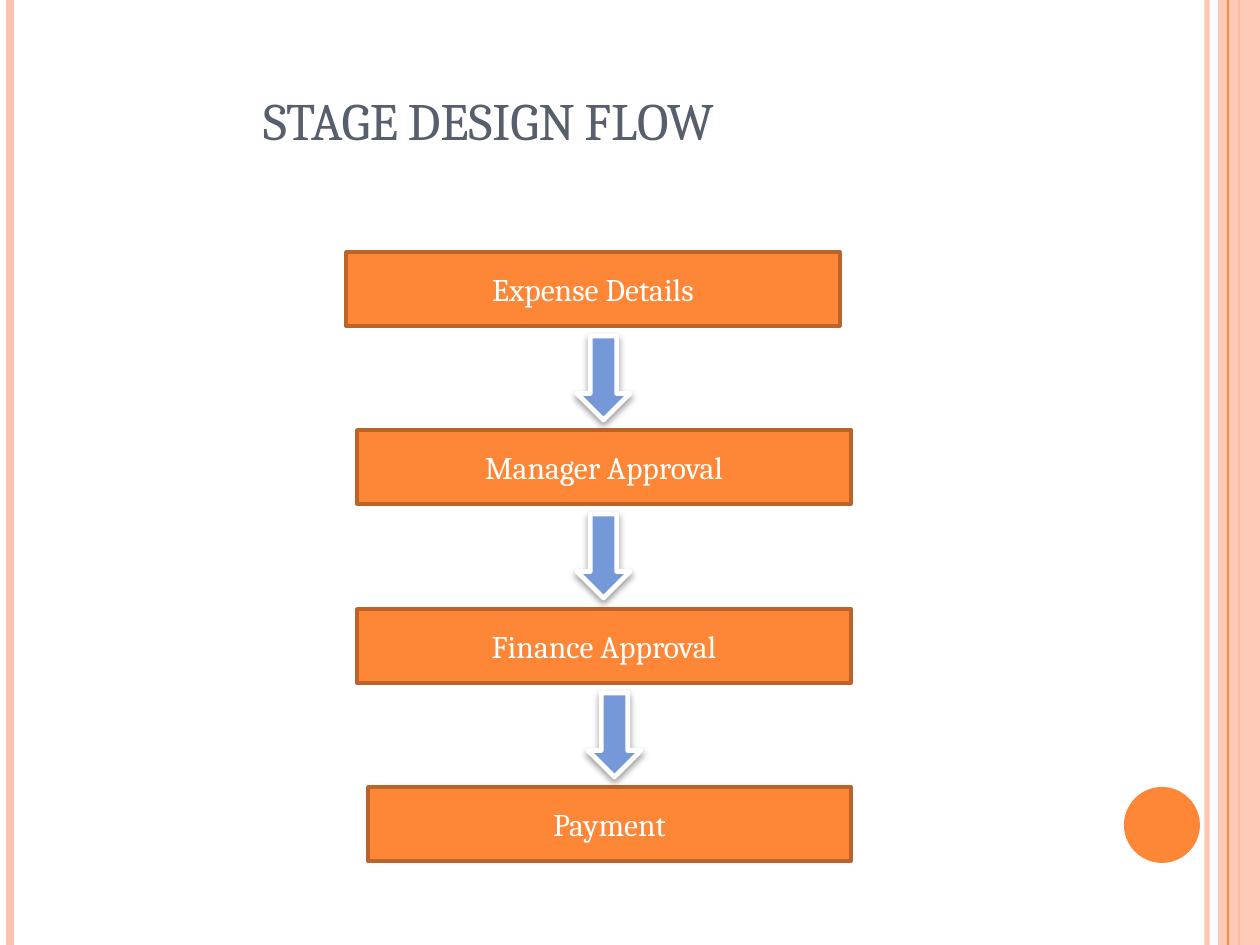
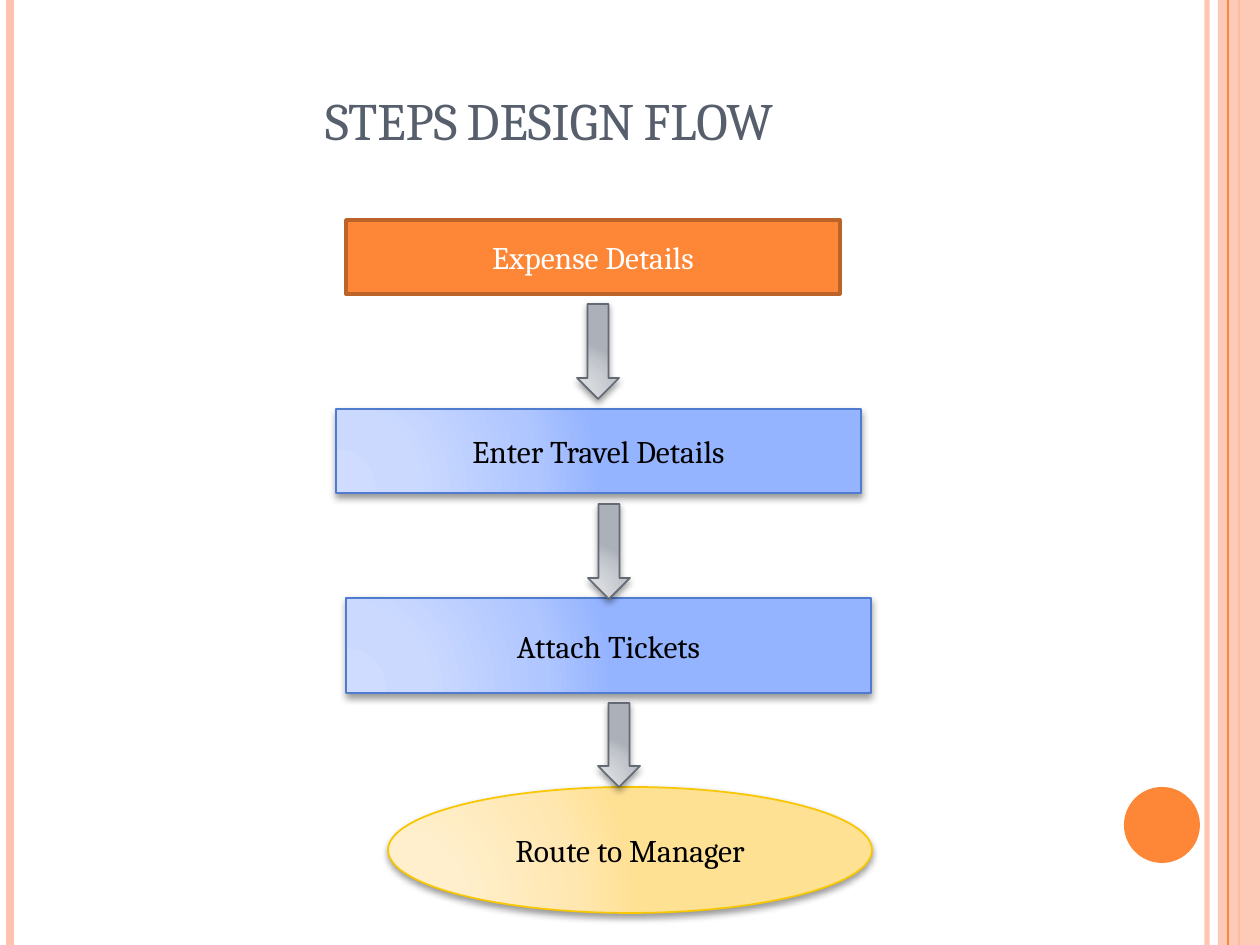
"""Build two flow chart slides on a shared striped frame."""
from lxml.etree import SubElement as Sub
from pptx import Presentation
from pptx.dml.color import RGBColor
from pptx.enum.shapes import MSO_CONNECTOR as Conn, MSO_SHAPE as Kind
from pptx.enum.text import MSO_ANCHOR as Anchor, PP_ALIGN as Align
from pptx.oxml import parse_xml
from pptx.oxml.ns import nsdecls, qn
from pptx.util import Pt

PX = 914400 / 126
WIDE, HIGH = 1260, 945
FONT = "Cambria"
ORANGE, PEACH, RUST = "FE8637", "FEC3AE", "BC6329"
SLATE, WHITE, BLACK = "575F6D", "FFFFFF", "000000"
BLUES = ["CFDCFF", "CBD9FF", "AFC6FF", "95B4FF"]
GREYS = ["DADCE0", "D7D9DD", "C1C5CB", "ABB0B9"]
GOLDS = ["FFF0D1", "FFEFCC", "FFE7B1", "FFE193"]

TASK = (Kind.RECTANGLE, ORANGE, RUST, 2, False, WHITE)
STEP = (Kind.FLOWCHART_PROCESS, BLUES, "4F7CCF", 1, True, BLACK)
GOAL = (Kind.OVAL, GOLDS, "F8C700", 1, True, BLACK)
BLUE = (Kind.DOWN_ARROW, "7598D9", WHITE, 2.75, True, BLACK)
GREY = (Kind.DOWN_ARROW, GREYS, "636A74", 1, True, BLACK)


def tint(part, code, alpha=100):
    part.solid()
    part.fore_color.rgb = RGBColor.from_string(code)
    if alpha < 100:
        clr = part._xPr.find(".//" + qn("a:srgbClr"))
        Sub(clr, qn("a:alpha"), val=str(alpha * 1000))


def draw(slide, box, look, text="", alpha=100):
    kind, fill, edge, width, shade, ink = look
    shape = slide.shapes.add_shape(kind, *[int(n * PX) for n in box])
    shape.shadow.inherit = False
    props = shape._element.spPr
    if isinstance(fill, str):
        tint(shape.fill, fill, alpha)
    else:
        stops = "".join(
            f'<a:gs pos="{at}000"><a:srgbClr val="{code}"/></a:gs>'
            for at, code in zip((0, 30, 75, 100), fill))
        props.insert(2, parse_xml(
            f'<a:gradFill {nsdecls("a")} rotWithShape="1"><a:gsLst>{stops}</a:gsLst>'
            '<a:path path="circle"><a:fillToRect l="5000" t="100000" r="120000" b="10000"/>'
            '</a:path></a:gradFill>'))
    if edge:
        tint(shape.line.fill, edge)
        shape.line.width = Pt(width)
    else:
        shape.line.fill.background()
    if shade:
        props.find(qn("a:effectLst")).append(parse_xml(
            f'<a:outerShdw {nsdecls("a")} blurRad="50800" dist="25400" dir="5400000" '
            'rotWithShape="0"><a:srgbClr val="000000"><a:alpha val="40000"/>'
            '</a:srgbClr></a:outerShdw>'))
    if text:
        frame = shape.text_frame
        frame.vertical_anchor = Anchor.MIDDLE
        para = frame.paragraphs[0]
        para.alignment = Align.CENTER
        run = para.add_run()
        run.text = text
        run.font.name, run.font.size = FONT, Pt(18)
        tint(run.font.fill, ink)


names = ["Expense Details", "Manager Approval", "Finance Approval", "Payment"]
lefts = [346, 357, 357, 368]
stages = [((x, 252 + i * 357 // 2, 851 - x if i == 3 else 494, 74), TASK, name)
          for i, (x, name) in enumerate(zip(lefts, names))]
stages += [((x, 336 + i * 357 // 2, 53, 84), BLUE, "")
           for i, x in enumerate([577, 577, 588])]
steps = [
    ((346, 220, 494, 74), TASK, names[0]),
    ((336, 409, 525, 84), STEP, "Enter Travel Details"),
    ((346, 598, 525, 95), STEP, "Attach Tickets"),
    ((388, 787, 484, 126), GOAL, "Route to Manager"),
    ((577, 304, 42, 95), GREY, ""),
    ((588, 504, 42, 95), GREY, ""),
    ((598, 703, 42, 84), GREY, ""),
]

deck = Presentation()
deck.slide_width, deck.slide_height = int(WIDE * PX), int(HIGH * PX)
for title, inset, flow in [("STAGE DESIGN FLOW", 200, stages),
                           ("STEPS DESIGN FLOW", 262, steps)]:
    slide = deck.slides.add_slide(deck.slide_layouts[6])
    tint(slide.background.fill, WHITE)
    for x, code, width, alpha in [(1207, PEACH, 3, 93), (10, PEACH, 4.5, 100),
                                  (1239, ORANGE, 1.5, 100), (1228, ORANGE, 0.75, 100)]:
        if x == 1228:
            draw(slide, (1218, 0, 42, HIGH),
                 (Kind.RECTANGLE, PEACH, None, 0, False, BLACK), alpha=87)
        line = slide.shapes.add_connector(
            Conn.STRAIGHT, int(x * PX), 0, int(x * PX), int(HIGH * PX))
        tint(line.line.fill, code)
        line.line.width = Pt(width)
        if alpha < 100:
            clr = line._element.spPr.find(".//" + qn("a:srgbClr"))
            Sub(clr, qn("a:alpha"), val=str(alpha * 1000))
        Sub(line._element.spPr, qn("a:effectLst"))
    draw(slide, (1124, 787, 76, 76), (Kind.OVAL, ORANGE, None, 0, False, BLACK))

    head = slide.shapes.add_textbox(*[int(n * PX) for n in (63, 38, 1029, 119)])
    frame = head.text_frame
    frame.word_wrap = True
    frame.vertical_anchor = Anchor.BOTTOM
    frame.margin_left = int(inset * PX)
    run = frame.paragraphs[0].add_run()
    run.text = title
    run.font.name, run.font.size = FONT, Pt(30)
    run.font._element.set("cap", "small")
    tint(run.font.fill, SLATE)

    for box, look, text in flow:
        draw(slide, box, look, text)

deck.save("out.pptx")
